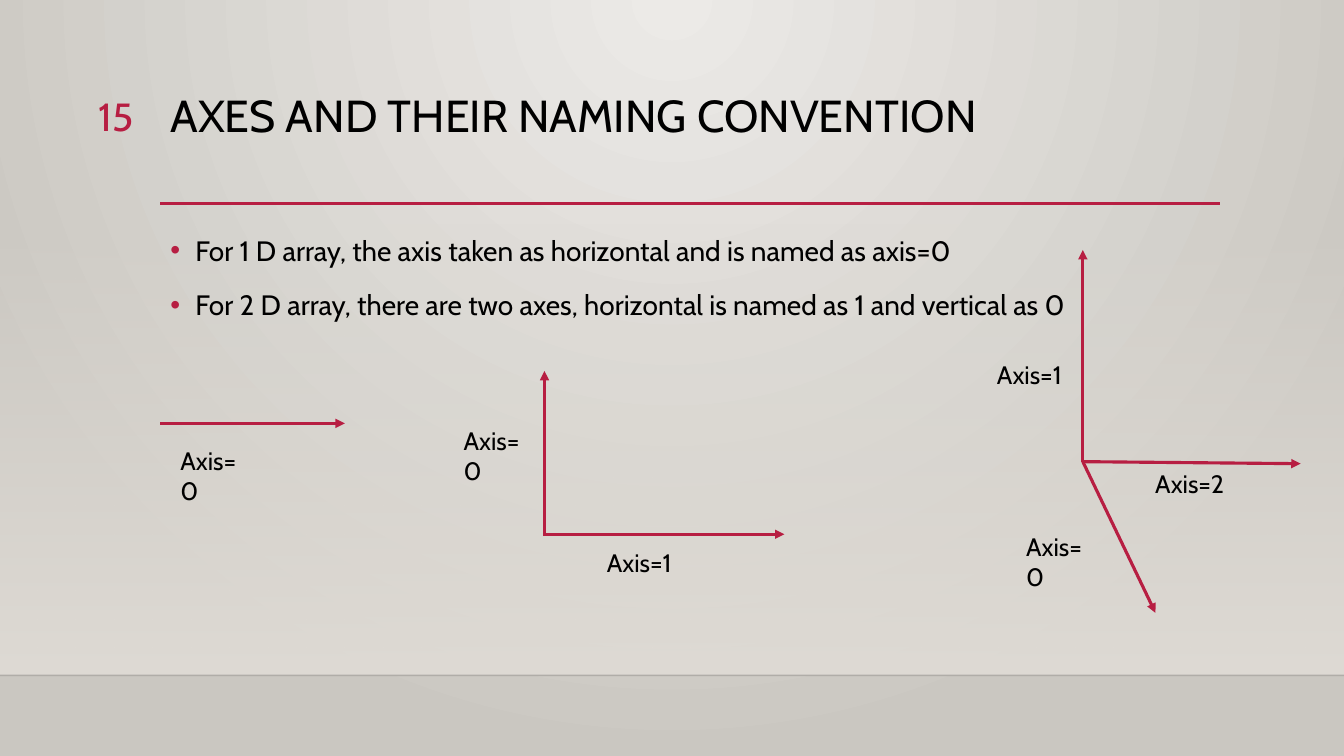
from lxml import etree
from pptx import Presentation
from pptx.dml.color import RGBColor
from pptx.enum.shapes import MSO_CONNECTOR, MSO_SHAPE
from pptx.enum.text import MSO_ANCHOR, MSO_AUTO_SIZE, PP_ALIGN
from pptx.oxml.ns import qn
from pptx.util import Inches, Pt

FONT = "Cabin"
BLACK = RGBColor(0x00, 0x00, 0x00)
CRIMSON = RGBColor(0xB7, 0x1E, 0x42)
WALL_LIGHT = RGBColor(0xEC, 0xEA, 0xE7)
WALL_DARK = RGBColor(0xCA, 0xC7, 0xC1)
HAZE = RGBColor(0xDF, 0xDB, 0xD5)

SLIDE_W, SLIDE_H = 13.33, 7.5
MARGIN = 1.59
FLOOR_Y = 6.7

BULLETS = [
    "For 1 D array, the axis taken as horizontal and is named as axis=0",
    "For 2 D array, there are two axes, horizontal is named as 1 and vertical as 0",
]

# Each axis: start, end, label, label position
AXES = [
    # 1 D array
    ((1.59, 4.2), (3.42, 4.2), "Axis=0", (1.69, 4.37)),
    # 2 D array
    ((5.4, 5.3), (7.78, 5.3), "Axis=1", (5.92, 5.38)),
    ((5.4, 5.32), (5.4, 3.68), "Axis=0", (4.5, 4.17)),
    # 3 D array
    ((10.74, 4.58), (12.9, 4.6), "Axis=2", (11.36, 4.6)),
    ((10.74, 4.58), (10.74, 2.48), "Axis=1", (9.79, 3.52)),
    ((10.74, 4.58), (11.46, 6.08), "Axis=0", (10.08, 5.22)),
]


def set_alpha(color_parent, percent):
    color = color_parent.find(".//" + qn("a:srgbClr"))
    etree.SubElement(color, qn("a:alpha"), val=str(percent * 1000))


def set_gradient(fill, first, last):
    fill.gradient()
    for stop, color, position in zip(fill.gradient_stops, (first, last), (0, 1)):
        stop.color.rgb = color
        stop.position = position


def write_text(frame, paragraphs, size=18, color=BLACK, align=PP_ALIGN.LEFT,
               line_spacing=None, space_before=None, bullet=None):
    frame.word_wrap = True
    frame.auto_size = MSO_AUTO_SIZE.NONE
    frame.vertical_anchor = MSO_ANCHOR.TOP
    for index, text in enumerate(paragraphs):
        paragraph = frame.add_paragraph() if index else frame.paragraphs[0]
        paragraph.alignment = align
        if line_spacing:
            paragraph.line_spacing = line_spacing
        if space_before:
            paragraph.space_before = Pt(space_before)
        if bullet:
            add_bullet(paragraph, bullet)
        run = paragraph.add_run()
        run.text = text
        run.font.name = FONT
        run.font.size = Pt(size)
        run.font.color.rgb = color


def add_bullet(paragraph, symbol):
    props = paragraph._p.get_or_add_pPr()
    props.set("marL", str(Inches(0.25)))
    props.set("indent", str(-Inches(0.25)))
    bullet_color = etree.SubElement(props, qn("a:buClr"))
    etree.SubElement(bullet_color, qn("a:srgbClr"), val=str(CRIMSON))
    etree.SubElement(props, qn("a:buFont"), typeface="Arial")
    etree.SubElement(props, qn("a:buChar"), char=symbol)


def add_text(slide, left, top, width, height, paragraphs, **text_format):
    box = slide.shapes.add_textbox(
        Inches(left), Inches(top), Inches(width), Inches(height))
    write_text(box.text_frame, paragraphs, **text_format)


def add_line(slide, start, end, color=CRIMSON, width=2.25, arrow=False, alpha=None):
    line = slide.shapes.add_connector(
        MSO_CONNECTOR.STRAIGHT, *(Inches(value) for value in (*start, *end)))
    line.line.color.rgb = color
    line.line.width = Pt(width)
    outline = line.line._get_or_add_ln()
    if alpha is not None:
        set_alpha(outline, alpha)
    if arrow:
        etree.SubElement(outline, qn("a:tailEnd"), type="triangle")
    etree.SubElement(line._element.spPr, qn("a:effectLst"))


def add_backdrop(slide):
    # Radial wall, lit from the top centre
    set_gradient(slide.background.fill, WALL_LIGHT, WALL_DARK)
    wall = slide._element.find(".//" + qn("a:gradFill"))
    wall.remove(wall.find(qn("a:lin")))
    glow = etree.SubElement(wall, qn("a:path"), path="circle")
    etree.SubElement(glow, qn("a:fillToRect"),
                     l="43000", t="0", r="43000", b="100000")

    # Haze fading in towards the floor line
    haze = slide.shapes.add_shape(
        MSO_SHAPE.RECTANGLE, 0, Inches(2.21), Inches(SLIDE_W), Inches(FLOOR_Y - 2.21))
    haze.shadow.inherit = False
    haze.line.fill.background()
    set_gradient(haze.fill, HAZE, HAZE)
    haze.fill.gradient_angle = 270
    set_alpha(haze._element.spPr, 0)
    add_line(slide, (0, FLOOR_Y), (SLIDE_W, FLOOR_Y), color=BLACK, width=1, alpha=20)


def add_heading(slide):
    add_line(slide, (MARGIN, 2.02), (12.1, 2.02), width=2.5)
    title = slide.shapes.title
    title.left, title.top = Inches(MARGIN), Inches(0.88)
    title.width, title.height = Inches(10.5), Inches(1.15)
    write_text(title.text_frame, ["AXES AND THEIR NAMING CONVENTION"],
               size=32, line_spacing=0.9)
    add_text(slide, 0.53, 0.87, 0.89, 0.55, ["15"],
             size=28, color=CRIMSON, align=PP_ALIGN.RIGHT)


def add_axis(slide, start, end, label, label_at):
    add_line(slide, start, end, arrow=True)
    add_text(slide, *label_at, 0.9, 0.4, [label])


def main():
    deck = Presentation()
    deck.slide_width, deck.slide_height = Inches(SLIDE_W), Inches(SLIDE_H)
    slide = deck.slides.add_slide(deck.slide_layouts[5])

    add_backdrop(slide)
    add_heading(slide)
    add_text(slide, MARGIN, 2.2, 11.31, 3.77, BULLETS,
             size=20, line_spacing=1.2, space_before=10, bullet="•")
    for axis in AXES:
        add_axis(slide, *axis)

    deck.save("out.pptx")


if __name__ == "__main__":
    main()
